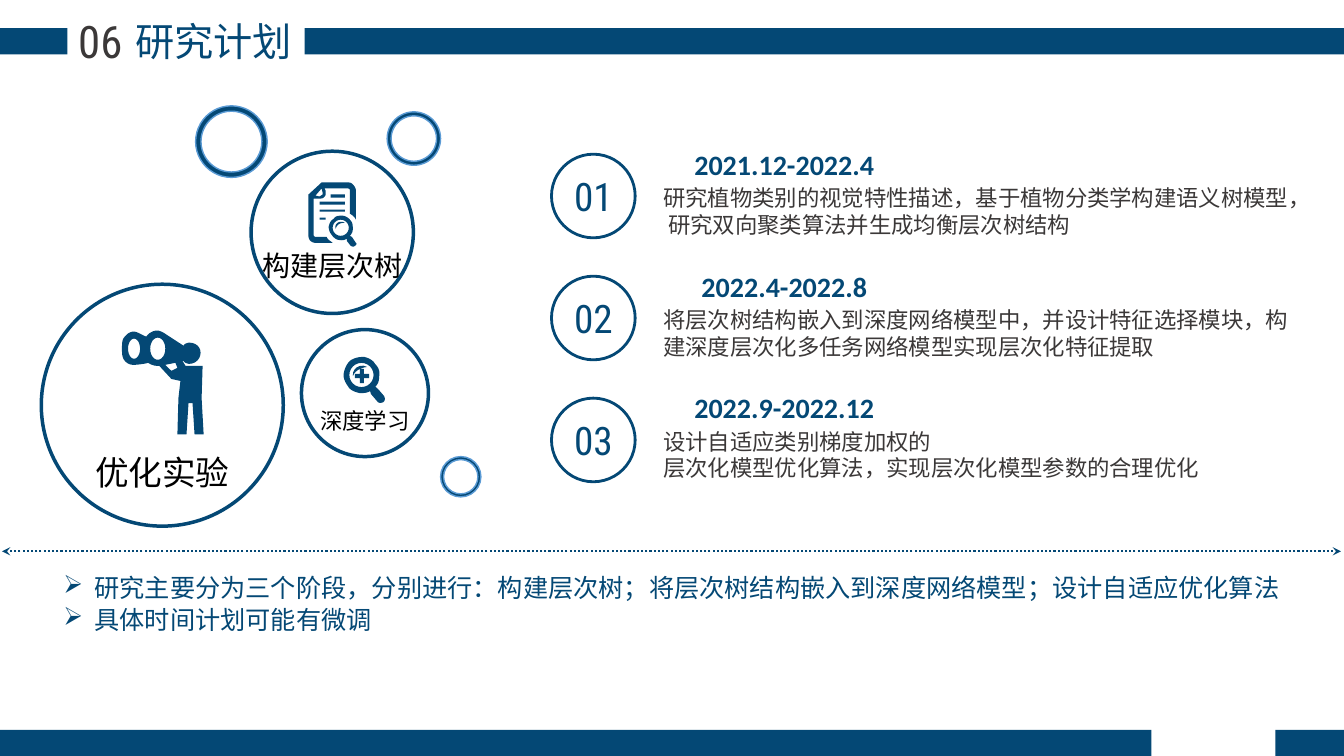
import math

import lxml.etree
import pptx
import pptx.dml.color
import pptx.enum.dml
import pptx.enum.shapes
import pptx.enum.text
import pptx.oxml.ns
import pptx.util

WIDTH, HEIGHT = 13.33, 7.5
NAVY, GREY, BLACK, SKY = "044875", "3B3838", "000000", "5B9BD5"
HAN, LATIN, NUMERAL = "Noto Sans CJK SC", "Calibri", "Roboto Condensed"
SHAPES = pptx.enum.shapes.MSO_SHAPE
ALIGN = pptx.enum.text.PP_ALIGN


def oval(center_x, center_y, radius_x, radius_y):
    angles = [math.tau * step / 24 for step in range(24)]
    return [(center_x + radius_x * math.cos(a), center_y + radius_y * math.sin(a)) for a in angles]


def box(left, top, right, bottom):
    return [(left, top), (right, top), (right, bottom), (left, bottom)]


# Icon outlines in hundredths of an inch: a pair is a corner, six numbers are a curve.
OBSERVER = [
    [(156, 328), (152, 328, 148, 330, 145, 334), (142, 333, 136, 329, 133, 329),
     (129, 329, 126, 331, 123, 335), (121, 337, 121, 342, 121, 346),
     (121, 350, 121, 354, 123, 357), (126, 361, 129, 362, 133, 362),
     (136, 362, 144, 361, 147, 360), (150, 362, 153, 363, 156, 363),
     (158, 363), (170, 376), (179, 378), (177, 395), (176, 431), (185, 431),
     (187, 400), (191, 400), (193, 431), (202, 431), (200, 395), (201, 363),
     (184, 363), (181, 358), (182, 358), (183, 360, 186, 361, 188, 361),
     (194, 361, 199, 356, 199, 350), (199, 344, 194, 340, 188, 340),
     (186, 340, 183, 341, 182, 343), (162, 330), (160, 329, 158, 328, 156, 328)],
    [(176, 365), (170, 368), (164, 362), (174, 360)],
    oval(133, 346, 6, 10),
    oval(156.5, 346, 7.5, 11),
]
DOCUMENT = [
    [(319, 181), (345, 181), (348, 181, 349, 182, 350, 183), (352, 185, 353, 187, 353, 189),
     (353, 218), (352, 216), (350, 214, 349, 213, 347, 212), (347, 189),
     (347, 188, 347, 187, 345, 187), (322, 187), (323, 189), (323, 193),
     (323, 194, 322, 195, 321, 196), (320, 197, 319, 197, 316, 197), (311, 197),
     (311, 233), (311, 234, 312, 235, 313, 235), (324, 235), (325, 238, 328, 239, 330, 241),
     (313, 241), (311, 241, 309, 240, 308, 239), (306, 237, 306, 235, 306, 233),
     (306, 193), (318, 182)],
    box(317, 216, 323, 218), box(317, 208, 342, 210),
    box(317, 200, 342, 203), box(328, 193, 342, 196),
    [(333, 227), (334, 223, 337, 221, 342, 221), (337, 218, 331, 222, 333, 227)],
    [(331, 217), (328, 219, 327, 221, 326, 225), (326, 227, 327, 231, 329, 233),
     (331, 236, 334, 238, 336, 238), (339, 239, 342, 238, 344, 237), (344, 239), (348, 244),
     (350, 245, 351, 245, 352, 244), (354, 243, 354, 241, 353, 241), (349, 235), (347, 234),
     (349, 232, 350, 230, 350, 227), (350, 225, 350, 221, 348, 219),
     (346, 216, 342, 214, 340, 214), (336, 214, 333, 214, 331, 217)],
    oval(338, 226, 8, 8),
    [(319, 187), (313, 194), (317, 195), (320, 193), (320, 191)],
]
MAGNIFIER = [
    [(347, 358), (351, 355, 356, 354, 361, 354), (365, 355, 370, 357, 372, 361),
     (376, 365, 377, 369, 376, 374), (376, 378, 375, 381, 372, 384),
     (373, 384, 374, 385, 375, 386), (381, 393), (382, 395, 382, 398, 380, 399),
     (378, 400, 375, 400, 374, 398), (368, 391), (367, 388), (364, 390, 360, 390, 357, 390),
     (352, 389, 347, 387, 345, 383), (342, 379, 340, 374, 341, 370),
     (342, 365, 344, 361, 347, 358)],
    [(357, 380), (361, 380), (361, 375), (366, 375), (366, 371), (361, 371), (361, 366),
     (357, 366), (357, 371), (352, 371), (352, 375), (357, 375)],
    [(350, 373), (352, 368, 357, 365, 364, 364), (357, 360, 349, 366, 350, 373)],
    oval(358.5, 372, 12, 12),
]

BARS = [(0, 0.28, 0.67), (3.02, 0.28, 10.31), (12.65, 7.24, 0.68), (0, 7.24, 11.42)]
BAR_HEIGHT = 0.26
RINGS = [(1.94, 1.05, 0.71), (3.84, 1.11, 0.53), (4.37, 4.53, 0.4)]
# left, top, diameter, icon, label, label top, label size
BUBBLES = [
    (0.41, 2.82, 2.4, OBSERVER, "优化实验", 4.43, 24),
    (2.49, 1.5, 1.61, DOCUMENT, "构建层次树", 2.42, 20),
    (2.99, 3.27, 1.26, MAGNIFIER, "深度学习", 3.99, 16),
]
LABEL_WIDTH = 1.77
STAGES = [
    ("01", "2021.12-2022.4",
     ["研究植物类别的视觉特性描述，基于植物分类学构建语义树模型， 研究双向聚类算法并生成均衡层次树结构"]),
    ("02", "2022.4-2022.8",
     ["将层次树结构嵌入到深度网络模型中，并设计特征选择模块，构建深度层次化多任务网络模型实现层次化特征提取"]),
    ("03", "2022.9-2022.12",
     ["设计自适应类别梯度加权的", "层次化模型优化算法，实现层次化模型参数的合理优化"]),
]
STAGE_TOP, STAGE_PITCH, STAGE_CIRCLE = 1.53, 1.21, 0.83
NOTES = [
    "研究主要分为三个阶段，分别进行：构建层次树；将层次树结构嵌入到深度网络模型；设计自适应优化算法",
    "具体时间计划可能有微调",
]

presentation = pptx.Presentation()
presentation.slide_width = pptx.util.Inches(WIDTH)
presentation.slide_height = pptx.util.Inches(HEIGHT)
slide = presentation.slides.add_slide(presentation.slide_layouts[5])


def color(value):
    return pptx.dml.color.RGBColor.from_string(value)


def add_xml(parent, tag, **attributes):
    element = lxml.etree.SubElement(parent, pptx.oxml.ns.qn(tag))
    for name, value in attributes.items():
        element.set(name, value)


def write(lines, left, top, width, height, *, size, fill=NAVY, font=LATIN, bold=False,
          align=None, spacing=None, bullet=None, shape=None):
    """Set lines of text in a new text box, or in the given shape."""
    place = [pptx.util.Inches(length) for length in (left, top, width, height)]
    if shape is None:
        shape = slide.shapes.add_textbox(*place)
    shape.left, shape.top, shape.width, shape.height = place
    frame = shape.text_frame
    frame.word_wrap = True
    frame.auto_size = pptx.enum.text.MSO_AUTO_SIZE.NONE
    frame.vertical_anchor = pptx.enum.text.MSO_ANCHOR.TOP
    frame.text = "\n".join(lines)
    for paragraph in frame.paragraphs:
        paragraph.alignment = align
        if spacing:
            paragraph.line_spacing = pptx.util.Pt(spacing)
        if bullet:
            properties = paragraph._p.get_or_add_pPr()
            indent = pptx.util.Inches(0.31)
            properties.set("marL", str(indent))
            properties.set("indent", str(-indent))
            add_xml(properties, "a:buChar", char=bullet)
        for run in paragraph.runs:
            run.font.size, run.font.bold, run.font.name = pptx.util.Pt(size), bold, font
            run.font.color.rgb = color(fill)
            add_xml(run._r.get_or_add_rPr(), "a:ea", typeface=HAN)


def paint(shape, fill=None, line=None, weight=1):
    shape.shadow.inherit = False
    if fill:
        shape.fill.solid()
        shape.fill.fore_color.rgb = color(fill)
    else:
        shape.fill.background()
    if line:
        shape.line.color.rgb = color(line)
        shape.line.width = pptx.util.Pt(weight)
    else:
        shape.line.fill.background()


def add_preset(kind, left, top, width, height, **style):
    shape = slide.shapes.add_shape(kind, *map(pptx.util.Inches, (left, top, width, height)))
    paint(shape, **style)
    return shape


def flatten(contour, steps=6):
    """Turn corners and curves into plain points in EMU."""
    points = []
    for item in contour:
        if len(item) == 2:
            points.append(item)
            continue
        knots = [points[-1], item[:2], item[2:4], item[4:]]
        for step in range(1, steps + 1):
            t = step / steps
            weights = [math.comb(3, k) * t ** k * (1 - t) ** (3 - k) for k in range(4)]
            points.append(tuple(sum(w * knot[axis] for w, knot in zip(weights, knots))
                                for axis in (0, 1)))
    return [(pptx.util.Inches(x / 100), pptx.util.Inches(y / 100)) for x, y in points]


def add_icon(contours):
    first, *others = map(flatten, contours)
    builder = slide.shapes.build_freeform(*first[0])
    builder.add_line_segments(first[1:], close=True)
    for points in others:
        builder.move_to(*points[0])
        builder.add_line_segments(points[1:], close=True)
    paint(builder.convert_to_shape(), fill=NAVY)


for left, top, width in BARS:
    add_preset(SHAPES.RECTANGLE, left, top, width, BAR_HEIGHT, fill=NAVY)
write(["研究计划"], 0.32, 0.12, 3.6, 0.57, size=28, font=HAN, align=ALIGN.CENTER,
      shape=slide.shapes.title)
write(["06"], 0.6, 0.09, 0.79, 0.64, size=32, fill=GREY, font=NUMERAL, align=ALIGN.CENTER)

for left, top, diameter in RINGS:
    ring = add_preset(SHAPES.DONUT, left, top, diameter, diameter, fill=NAVY, line=SKY)
    ring.adjustments[0] = 0.075

for left, top, diameter, icon, label, label_top, size in BUBBLES:
    add_preset(SHAPES.OVAL, left, top, diameter, diameter, line=NAVY, weight=2.5)
    add_icon(icon)
    write([label], left + (diameter - LABEL_WIDTH) / 2, label_top, LABEL_WIDTH, 0.5,
          size=size, fill=BLACK, align=ALIGN.CENTER)

for row, (number, period, tasks) in enumerate(STAGES):
    top = STAGE_TOP + row * STAGE_PITCH
    add_preset(SHAPES.OVAL, 5.47, top, STAGE_CIRCLE, STAGE_CIRCLE, line=NAVY, weight=2)
    write([number], 5.21, top + 0.13, 1.35, 0.57, size=28, font=NUMERAL, align=ALIGN.CENTER)
    write([period], 6.08, top - 0.12, 3.4, 0.44, size=20, bold=True, align=ALIGN.CENTER)
    write(tasks, 6.48, top + 0.25, 6.62, 0.63, size=16, fill=GREY, spacing=19)

divider = slide.shapes.add_connector(
    pptx.enum.shapes.MSO_CONNECTOR.STRAIGHT,
    *map(pptx.util.Inches, (13.3, 5.47, 0.02, 5.47)))
divider.line.color.rgb = color(NAVY)
divider.line.width = pptx.util.Pt(1.5)
divider.line.dash_style = pptx.enum.dml.MSO_LINE.ROUND_DOT
for end in ("a:headEnd", "a:tailEnd"):
    add_xml(divider.line._get_or_add_ln(), end, type="stealth")
add_xml(divider._element.spPr, "a:effectLst")

write(NOTES, 0.53, 5.61, 12.76, 0.75, size=18, spacing=23, bullet="➢")

presentation.save("out.pptx")
